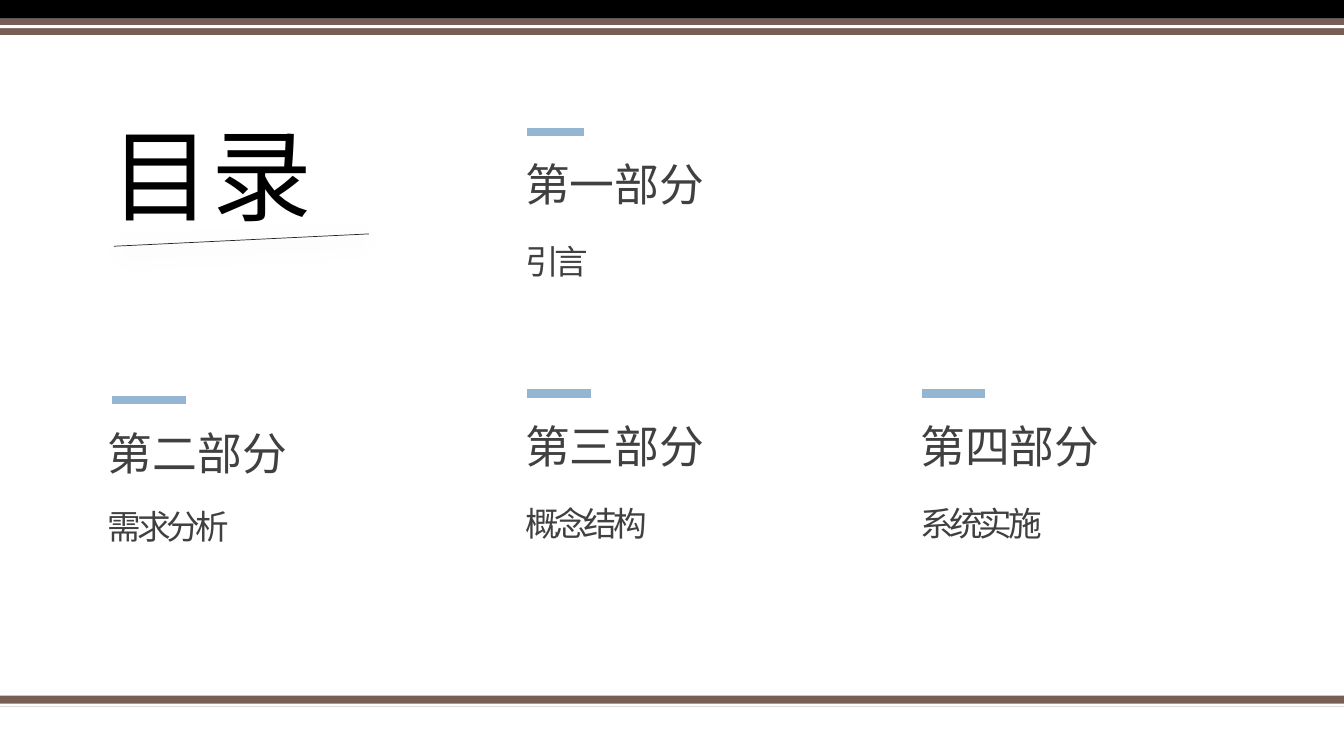
from pptx import Presentation
from pptx.dml.color import RGBColor
from pptx.enum.shapes import MSO_CONNECTOR as Connector, MSO_SHAPE as Shape
from pptx.enum.text import MSO_AUTO_SIZE as AutoSize, PP_ALIGN as Align
from pptx.oxml import parse_xml
from pptx.oxml.ns import nsdecls, qn
from pptx.util import Pt

COLORS = {"black": "000000", "brown": "775F55", "white": "FFFFFF",
          "rule": "262626", "text": "404040", "accent": "94B6D2"}
WIDTH, HEIGHT = 960, 540
FORMATS = {
    "title": {"size": Pt(72), "name": "Arial"},
    "heading": {"size": Pt(32), "name": "Noto Sans CJK SC"},
    "body": {"size": Pt(24), "name": "Noto Sans CJK SC"},
}
SECTIONS = [
    ("第一部分", "引言", (368, 108.7, 148, 60), 8.6, 40.3),
    ("第二部分", "需求分析", (69.8, 300.4, 239, 57.6), 10.1, 53.3),
    ("第三部分", "概念结构", (368, 295.7, 204, 60), 8.6, 45.4),
    ("第四部分", "系统实施", (650.2, 295.7, 204, 60), 8.2, 45.4),
]


def color(name):
    """Return the named colour."""
    return RGBColor.from_string(COLORS[name])


def add_band(page, top, height, fill):
    """Draw a full-width band."""
    band = page.shapes.add_shape(Shape.RECTANGLE, 0, Pt(top), Pt(WIDTH), Pt(height))
    band.shadow.inherit = False
    band.fill.solid()
    band.fill.fore_color.rgb = color(fill)
    band.line.fill.background()


def add_line(page, start, end, stroke, weight, effect=""):
    """Draw a straight line with an optional effect."""
    line = page.shapes.add_connector(Connector.STRAIGHT, *map(Pt, start + end))
    line.line.color.rgb = color(stroke)
    line.line.width = Pt(weight)
    line._element.spPr.append(
        parse_xml(f'<a:effectLst {nsdecls("a")}>{effect}</a:effectLst>'))


def add_text(page, box, words, style, ink, align=Align.LEFT, spacing=0):
    """Write one line of text in a box."""
    label = page.shapes.add_textbox(*map(Pt, box))
    frame = label.text_frame
    frame.word_wrap = True
    frame.auto_size = AutoSize.SHAPE_TO_FIT_TEXT
    para = frame.paragraphs[0]
    para.alignment = align
    run = para.add_run()
    run.text = words
    for key, value in FORMATS[style].items():
        setattr(run.font, key, value)
    run.font.color.rgb = color(ink)
    properties = run._r.get_or_add_rPr()
    properties.find(qn("a:latin")).addnext(parse_xml(
        f'<a:ea {nsdecls("a")} typeface="{FORMATS[style]["name"]}"/>'))
    if spacing:
        properties.set("spc", str(spacing * 100))


def add_frame(page):
    """Draw the bands along the top and bottom edges."""
    for band in [(496.8, 7.92, "brown"), (502.56, 2.16, "white"),
                 (0, 13.4, "black"), (13.4, 11.6, "brown"), (18, 2.16, "white")]:
        add_band(page, *band)


def add_title(page, box):
    """Write the title above its slanted rule."""
    left, top, width, height = box
    add_text(page, box, "目录", "title", "black")
    shadow = ('<a:outerShdw blurRad="226060" dist="50800" dir="5220000">'
              f'<a:srgbClr val="{COLORS["black"]}"><a:alpha val="33000"/></a:srgbClr>'
              '</a:outerShdw>')
    add_line(page, (left + 9.4, top + 98.9), (left + 191.5, top + 90.1),
             "rule", 0.5, shadow)


def add_section(page, heading, body, box, inset, length):
    """Place an accent bar, a heading and a body line."""
    left, top, width, drop = box
    bar_left, bar_top = left + inset, top - 14.6
    add_text(page, (left, top, width, 48), heading, "heading", "text")
    add_text(page, (left, top + drop, width, 38), body, "body", "text",
             Align.JUSTIFY, -3)
    add_line(page, (bar_left, bar_top), (bar_left + length, bar_top), "accent", 6)


def main():
    """Build and save the contents slide."""
    deck = Presentation()
    deck.slide_width, deck.slide_height = Pt(WIDTH), Pt(HEIGHT)
    page = deck.slides.add_slide(deck.slide_layouts[6])
    add_frame(page)
    add_title(page, (72, 77, 192, 94.3))
    for section in SECTIONS:
        add_section(page, *section)
    deck.save("out.pptx")


if __name__ == "__main__":
    main()
